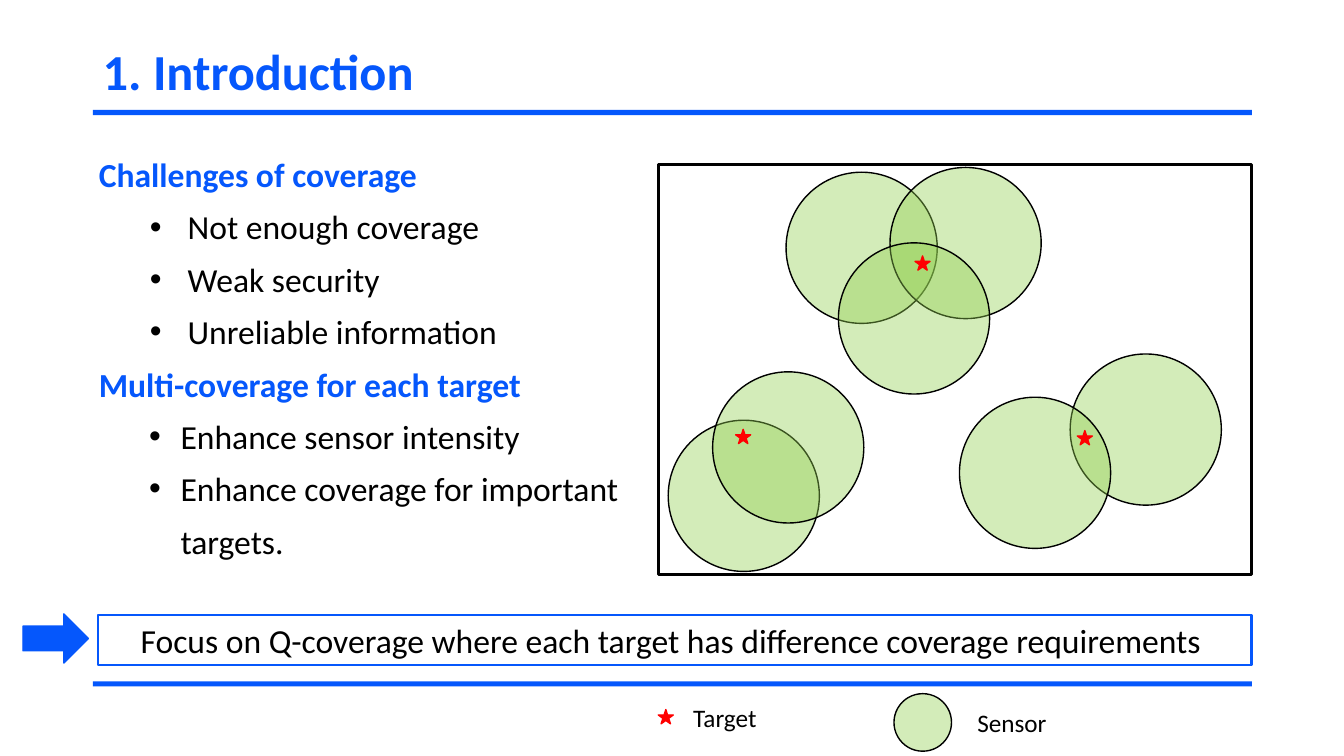
import pptx
import pptx.util
import pptx.dml.color
import pptx.enum.shapes
import pptx.enum.text
import pptx.oxml.ns
import lxml.etree

Cm = pptx.util.Cm
Pt = pptx.util.Pt
SHAPE = pptx.enum.shapes.MSO_SHAPE
ANCHOR = pptx.enum.text.MSO_ANCHOR
ALIGN = pptx.enum.text.PP_ALIGN
qn = pptx.oxml.ns.qn

BLUE, GREEN, RED, BLACK = "0557FC", "92D050", "FF0000", "000000"


def rgb(value):
    return pptx.dml.color.RGBColor.from_string(value)


class Deck:
    """Holds the style and the current slide, and draws each kind of element."""

    font = "Calibri"
    sensor_size = 3.81

    def __init__(self):
        self.prs = pptx.Presentation()
        self.prs.slide_width, self.prs.slide_height = Cm(33.87), Cm(19.05)
        self.s = self.prs.slides.add_slide(self.prs.slide_layouts[6])

    def shape(self, kind, x, y, w, h, fill=None, line=None, width=1, alpha=None):
        sp = self.s.shapes.add_shape(kind, Cm(x), Cm(y), Cm(w), Cm(h))
        sp.shadow.inherit = False
        if fill:
            sp.fill.solid()
            sp.fill.fore_color.rgb = rgb(fill)
        else:
            sp.fill.background()
        if alpha:
            color = sp._element.spPr.find(qn("a:solidFill"))[0]
            lxml.etree.SubElement(color, qn("a:alpha"), val=str(alpha * 1000))
        if line:
            sp.line.color.rgb = rgb(line)
            sp.line.width = Pt(width)
        else:
            sp.line.fill.background()
        return sp

    def rule(self, y):
        self.shape(SHAPE.RECTANGLE, 2.34, y, 29.21, 0.13, BLUE)

    def sensor(self, x, y, size=sensor_size):
        self.shape(SHAPE.OVAL, x, y, size, size, GREEN, BLACK, alpha=40)

    def target(self, x, y):
        self.shape(SHAPE.STAR_5_POINT, x, y, 0.38, 0.36, RED, RED)

    def textbox(self, x, y, w, h, wrap=True, anchor=ANCHOR.TOP):
        tf = self.s.shapes.add_textbox(Cm(x), Cm(y), Cm(w), Cm(h)).text_frame
        tf.word_wrap = wrap
        tf.vertical_anchor = anchor
        return tf

    def run(self, p, text, size, color=BLACK, bold=False):
        r = p.add_run()
        r.text = text
        r.font.name, r.font.size, r.font.bold = self.font, Pt(size), bold
        r.font.color.rgb = rgb(color)

    def bullet(self, p, left, hanging):
        pPr = p._p.get_or_add_pPr()
        pPr.set("marL", str(Cm(left)))
        pPr.set("indent", str(-Cm(hanging)))
        lxml.etree.SubElement(pPr, qn("a:buFont"), typeface="Arial")
        lxml.etree.SubElement(pPr, qn("a:buChar"), char="•")

    def outline(self, tf, sections):
        p = tf.paragraphs[0]
        for heading, left, hanging, items in sections:
            for i, text in enumerate([heading] + items):
                if p is None:
                    p = tf.add_paragraph()
                p.line_spacing = 1.3
                if i:
                    p.level = 1
                    self.bullet(p, left, hanging)
                    self.run(p, text, 24)
                else:
                    self.run(p, text, 24, BLUE, True)
                p = None


def main():
    d = Deck()
    for y in (17.17, 2.77):
        d.rule(y)
    title = d.textbox(2.34, 1.02, 29.21, 1.7, anchor=ANCHOR.MIDDLE).paragraphs[0]
    title.line_spacing = 0.9
    d.run(title, "1. Introduction", 36, BLUE, True)

    for x, y in ((19.81, 4.34), (22.43, 4.22), (21.13, 6.12), (26.97, 8.92),
                 (24.18, 10.01), (16.84, 10.59), (17.96, 9.37)):
        d.sensor(x, y)
    for x, y in ((23.06, 6.45), (18.54, 10.82), (27.15, 10.85)):
        d.target(x, y)
    d.shape(SHAPE.RECTANGLE, 16.59, 4.14, 14.96, 10.34, line=BLACK, width=2.25)

    d.outline(d.textbox(2.24, 3.45, 13.82, 11.84), [
        ("Challenges of coverage", 2.24, 0.95,
         ["Not enough coverage", "Weak security", "Unreliable information"]),
        ("Multi-coverage for each target", 2.06, 0.79,
         ["Enhance sensor intensity", "Enhance coverage for important targets."]),
    ])

    d.target(16.59, 17.88)
    d.sensor(22.53, 17.48, 1.45)
    for label, x, y, w in (("Target", 17.22, 17.58, 2.13), ("Sensor", 24.38, 17.7, 2.29)):
        d.run(d.textbox(x, y, w, 1.02, wrap=False).paragraphs[0], label, 18)

    d.shape(SHAPE.RIGHT_ARROW, 0.58, 15.47, 1.65, 1.24, BLUE, BLUE)
    focus = d.shape(SHAPE.RECTANGLE, 2.46, 15.49, 29.08, 1.27, line=BLUE, width=1.5)
    focus.text_frame.word_wrap = True
    focus.text_frame.vertical_anchor = ANCHOR.TOP
    p = focus.text_frame.paragraphs[0]
    p.alignment = ALIGN.CENTER
    d.run(p, "Focus on Q-coverage where each target has difference coverage requirements ", 24)
    d.prs.save("out.pptx")


if __name__ == "__main__":
    main()
